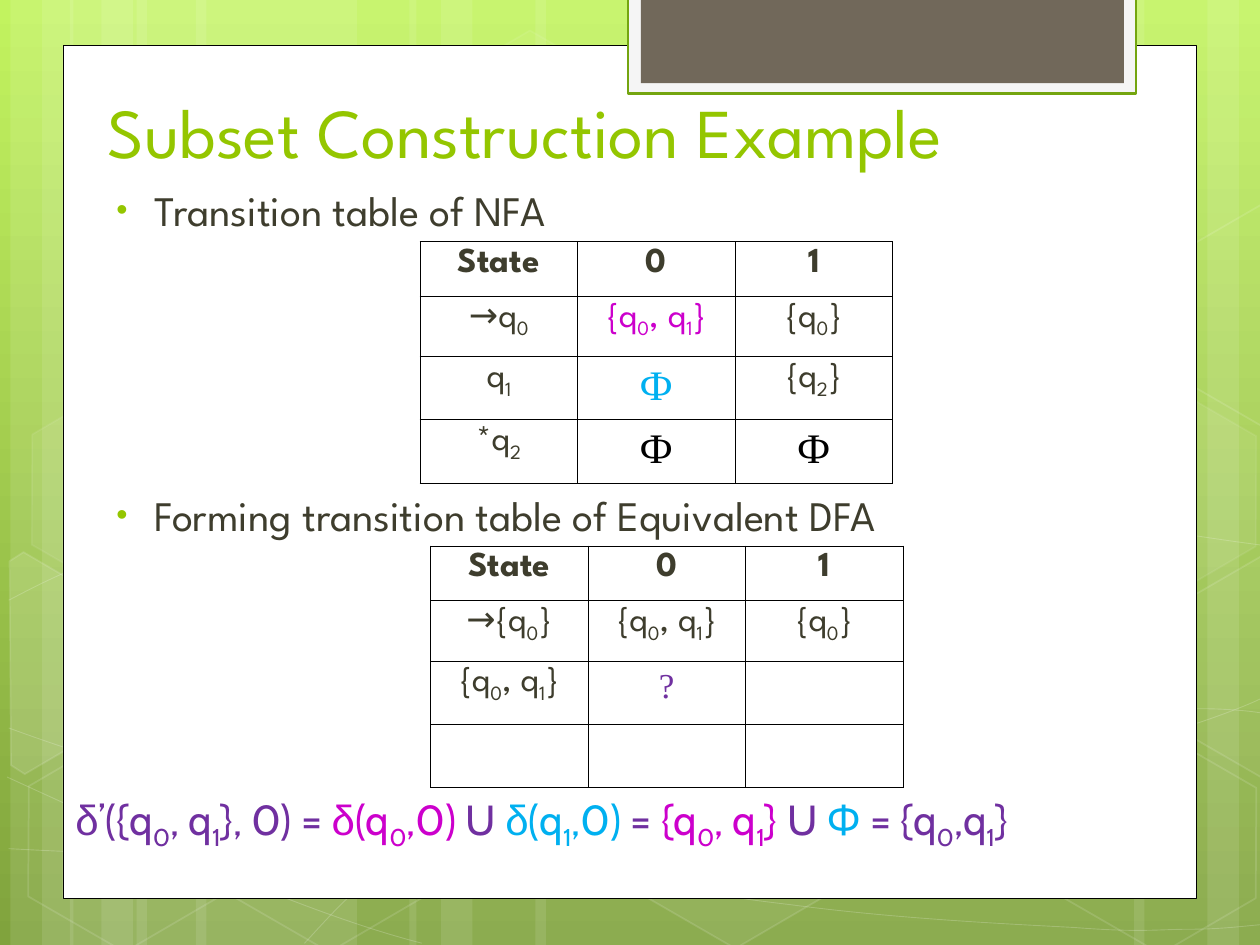
"""Build a slide on the subset construction from an NFA to a DFA."""
from math import cos, radians, sin
from lxml.etree import SubElement
from pptx import Presentation
from pptx.dml.color import RGBColor
from pptx.enum.shapes import MSO_SHAPE
from pptx.enum.text import MSO_ANCHOR, PP_ALIGN
from pptx.oxml.ns import qn
from pptx.util import Pt

COLORS = {
    "white": "FFFFFF", "black": "000000", "top": "C2F35F", "bottom": "80A33D",
    "tab": "F5F5F5", "tab_edge": "74A510", "tab_core": "71685A",
    "title": "94C600", "body": "3E3D2D",
    "magenta": "CC00CC", "cyan": "00B0F0", "purple": "7030A0",
}
HEADING, SERIF = "League Spartan", "Times New Roman"


def paint(shape, fill=None, fill_alpha=100, edge=None, width=1, edge_alpha=100):
    shape.shadow.inherit = False
    properties = shape._element.spPr
    for part, color, alpha, tag in ((shape.fill, fill, fill_alpha, "a:solidFill"),
                                    (shape.line.fill, edge, edge_alpha, "a:ln/a:solidFill")):
        if color is None or alpha == 0:
            part.background()
            continue
        part.solid()
        part.fore_color.rgb = RGBColor.from_string(COLORS[color])
        if alpha < 100:
            solid = properties
            for step in tag.split("/"):
                solid = solid.find(qn(step))
            SubElement(solid[0], qn("a:alpha")).set("val", str(alpha * 1000))
    if edge:
        shape.line.width = Pt(width)


def write(paragraph, segments, size, face, color, bold=False):
    font = paragraph.font
    font.size, font.name, font.bold = Pt(size), face, bold
    font.color.rgb = RGBColor.from_string(COLORS[color])
    for text, own_color, own_face in segments:
        plain, *indexed = text.split("_")
        pieces = [(plain, False)]
        for piece in indexed:
            pieces += [(piece[0], True), (piece[1:], False)]
        for piece, is_index in pieces:
            if not piece:
                continue
            run = paragraph.add_run()
            run.text = piece
            if own_color != color:
                run.font.color.rgb = RGBColor.from_string(COLORS[own_color])
            if own_face != face:
                run.font.name = own_face
            if is_index:
                run._r.get_or_add_rPr().set("baseline", "-25000")


deck = Presentation()
deck.slide_width, deck.slide_height = Pt(720), Pt(540)
slide = deck.slides.add_slide(deck.slide_layouts[6])
shapes = slide.shapes

backdrop = slide.background.fill
backdrop.gradient()
backdrop.gradient_angle = 270
for stop, name in zip(backdrop.gradient_stops, ("top", "bottom")):
    stop.color.rgb = RGBColor.from_string(COLORS[name])

stripes = [(78, 126), (6, 36), (24, 60), (112, 126), (40, 36), (58, 60),
           (528, 126), (690, 36), (648, 60), (306, 222), (234, 36), (252, 60)]
for left, width in stripes:
    stripe = shapes.add_shape(MSO_SHAPE.RECTANGLE, Pt(left), 0, Pt(width), Pt(540))
    paint(stripe, "white", 10)

waves = [
    [(5, 485), (44, 487), (83, 489), (137, 488), (191, 487), (258, 486), (330, 479),
     (402, 472), (504, 458), (570, 444), (636, 430), (703, 409), (725, 397)],
    [(5, 343), (26, 332), (47, 321), (87, 310), (128, 300), (186, 284), (250, 279),
     (314, 274), (392, 273), (471, 279), (550, 284), (682, 307), (725, 312)],
    [(4, 444), (91, 484), (178, 523), (241, 539)],
    [(5, 416), (27, 424), (50, 432), (92, 444), (134, 454), (197, 472), (257, 485),
     (317, 497), (392, 510), (452, 517), (512, 525), (576, 528), (614, 530),
     (652, 533), (662, 531), (680, 531), (699, 531), (712, 529), (725, 528)],
    [(174, 539), (187, 525), (200, 510), (217, 498), (235, 484), (259, 470), (279, 460),
     (300, 450), (312, 446), (338, 438), (364, 431), (413, 421), (438, 416),
     (463, 411), (467, 411), (490, 410), (512, 408), (547, 405), (572, 405),
     (597, 404), (638, 405), (638, 405), (654, 405), (670, 405), (686, 405),
     (699, 405), (711, 406), (718, 407), (724, 408), (722, 407), (724, 408)],
]
for points in waves:
    points = [(Pt(x), Pt(y)) for x, y in points]
    builder = shapes.build_freeform(*points[0])
    builder.add_line_segments(points[1:], close=False)
    wave = builder.convert_to_shape()
    outline_path = next(wave._element.iter(qn("a:path")))
    segments = outline_path.findall(qn("a:lnTo"))
    for start in range(0, len(segments), 3):
        curve = SubElement(outline_path, qn("a:cubicBezTo"))
        for segment in segments[start:start + 3]:
            curve.append(segment[0])
            outline_path.remove(segment)
    paint(wave, edge="white", width=0.5, edge_alpha=20)

hexagons = [(240, 26, 4, 8), (357, 424, 6, 12), (8, 426, 0, 12), (10, 225, 7, 8),
            (125, 426, 0, 12), (542, 326, 10, 12), (600, 427, 0, 12), (600, 226, 7, 8)]
TILT = 30
for left, top, fill_alpha, edge_alpha in hexagons:
    hexagon = shapes.add_shape(MSO_SHAPE.HEXAGON, Pt(left), Pt(top), Pt(126), Pt(109.5))
    hexagon.adjustments[0] = 0.285
    hexagon.rotation = TILT
    paint(hexagon, "white", fill_alpha, "white", 1, edge_alpha)

right_cut = [(-42.5, -25.2), (12.2, -56.9), (17.3, -53.3), (17.3, 67), (12.2, 69.8), (-42.5, 38.2)]
left_cut = [(-20.2, -65.5), (-12.2, -70.6), (43.2, -38.2), (42.5, 24.5), (-11.5, 56.2), (-19.4, 51.1)]
cut_hexagons = [(25.9, 385.9, 10, left_cut), (709.2, 374.4, 4, right_cut),
                (709.2, 173.5, 0, right_cut)]
cosine, sine = cos(radians(TILT)), sin(radians(TILT))
for center_x, center_y, fill_alpha, corners in cut_hexagons:
    upright = [(Pt(center_x + x * cosine + y * sine), Pt(center_y - x * sine + y * cosine))
               for x, y in corners]
    builder = shapes.build_freeform(*upright[0])
    builder.add_line_segments(upright[1:])
    cut_hexagon = builder.convert_to_shape()
    cut_hexagon.rotation = TILT
    paint(cut_hexagon, "white", fill_alpha, "white", 1, 12)

panels = [(36, 26, 648, 487.5, "white", "black", 0.5),
          (359, -1.5, 290, 55, "tab", "tab_edge", 1.25),
          (366.25, -1.5, 276, 49, "tab_core", None, 0)]
for left, top, width, height, fill, edge, edge_width in panels:
    panel = shapes.add_shape(MSO_SHAPE.RECTANGLE, Pt(left), Pt(top), Pt(width), Pt(height))
    paint(panel, fill, edge=edge, width=edge_width)

title = shapes.add_textbox(Pt(54.4), Pt(12), Pt(581), Pt(90)).text_frame
title.word_wrap = True
title.vertical_anchor = MSO_ANCHOR.BOTTOM
write(title.paragraphs[0], [("Subset Construction Example", "title", HEADING)],
      40, HEADING, "title")

outline = shapes.add_textbox(Pt(54), Pt(102), Pt(618), Pt(354)).text_frame
outline.word_wrap = True
bullets = [("Transition table of NFA", 6), ("Forming transition table of Equivalent DFA", 145.2)]
for number, (text, gap) in enumerate(bullets):
    bullet = outline.add_paragraph() if number else outline.paragraphs[0]
    bullet.space_before = Pt(gap)
    indent = bullet._p.get_or_add_pPr()
    indent.set("marL", str(Pt(27)))
    indent.set("indent", str(Pt(-21.6)))
    SubElement(SubElement(indent, qn("a:buClr")), qn("a:srgbClr")).set("val", COLORS["title"])
    SubElement(indent, qn("a:buSzPct")).set("val", "76000")
    SubElement(indent, qn("a:buFont")).set("typeface", "Arial")
    SubElement(indent, qn("a:buChar")).set("char", "•")
    write(bullet, [(text, "body", HEADING)], 24, HEADING, "body")

header = ["State", "0", "1"]
dfa = [header, ["→{q_0}", "{q_0, q_1}", "{q_0}"], ["{q_0, q_1}", "?", ""], ["", "", ""]]
nfa = [header, ["→q_0", "{q_0, q_1}", "{q_0}"], ["q_1", "Ф", "{q_2}"], ["*q_2", "Ф", "Ф"]]
dfa_accents = {(2, 1): (20, SERIF, "purple")}
nfa_accents = {(1, 1): (20, HEADING, "magenta"), (2, 1): (24, SERIF, "cyan"),
               (3, 1): (24, SERIF, "black"), (3, 2): (24, SERIF, "black")}
row_heights = [31, 34.5, 36, 36.25]
for left, top, rows, accents in ((246, 312, dfa, dfa_accents), (240, 138, nfa, nfa_accents)):
    transitions = shapes.add_table(4, 3, Pt(left), Pt(top), Pt(270), Pt(sum(row_heights))).table
    transitions.first_row = transitions.horz_banding = False
    for column in transitions.columns:
        column.width = Pt(90)
    for r, entries in enumerate(rows):
        transitions.rows[r].height = Pt(row_heights[r])
        for c, entry in enumerate(entries):
            cell = transitions.cell(r, c)
            borders = cell._tc.get_or_add_tcPr()
            for side in ("a:lnL", "a:lnR", "a:lnT", "a:lnB"):
                border = SubElement(borders, qn(side))
                border.set("w", str(Pt(0.45)))
                ink = SubElement(SubElement(border, qn("a:solidFill")), qn("a:srgbClr"))
                ink.set("val", COLORS["black"])
            cell.fill.background()
            if entry:
                size, face, color = accents.get((r, c), (20, HEADING, "body"))
                state = cell.text_frame.paragraphs[0]
                state.alignment = PP_ALIGN.CENTER
                write(state, [(entry, color, face)], size, face, color, bold=r == 0)

formula = shapes.add_textbox(Pt(36), Pt(450), Pt(666), Pt(40)).text_frame
formula.word_wrap = True
terms = [("δ", "purple", "Arial"), ("’({q_0, q_1}, 0) = ", "purple", "Cabin"),
         ("δ", "magenta", "Arial"), ("(q_0,0) ", "magenta", "Cabin"),
         ("U ", "purple", "Cabin"), ("δ", "cyan", "Arial"), ("(q_1,0) ", "cyan", "Cabin"),
         ("= ", "purple", "Cabin"), ("{q_0, q_1} ", "magenta", "Cabin"),
         ("U ", "purple", "Cabin"), ("Ф", "cyan", "Cabin"), (" = {q_0,q_1}", "purple", "Cabin")]
write(formula.paragraphs[0], terms, 24, "Cabin", "purple")

deck.save("out.pptx")
